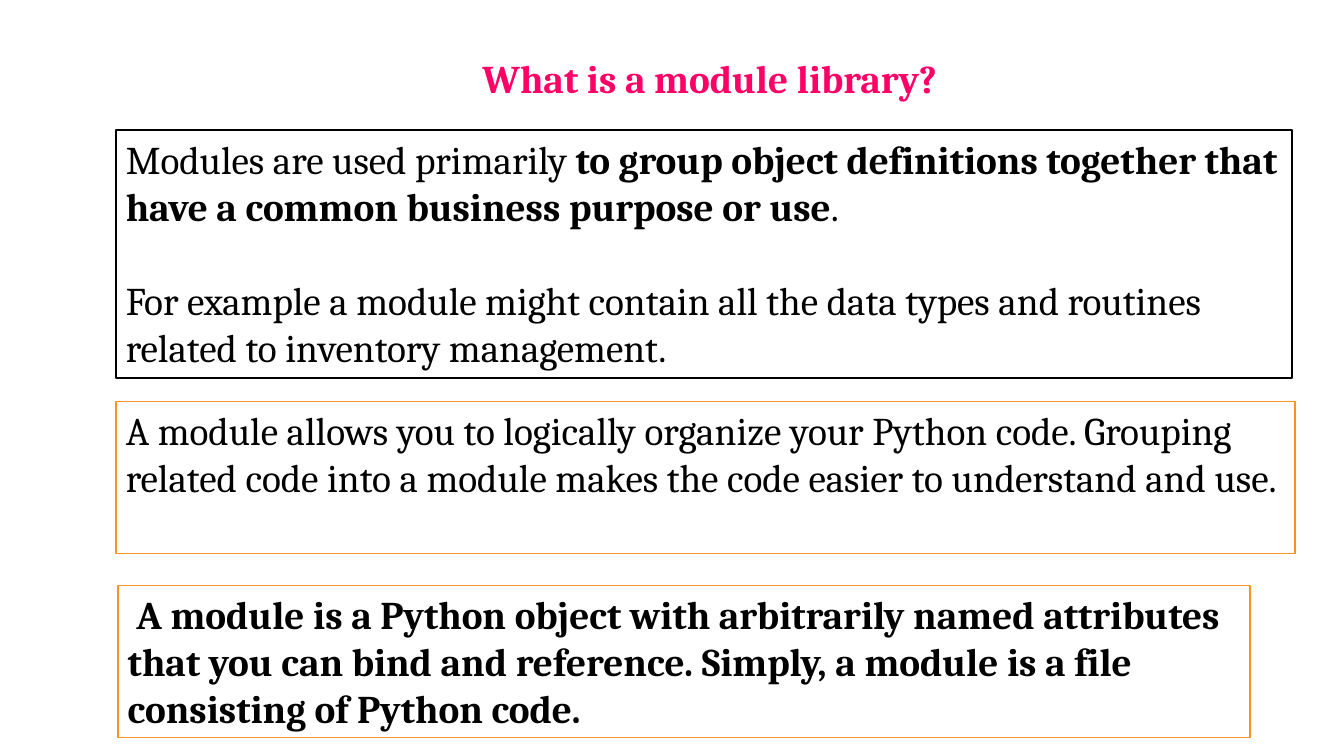
from dataclasses import dataclass

from pptx import Presentation
from pptx.dml.color import RGBColor
from pptx.enum.shapes import MSO_SHAPE
from pptx.enum.text import MSO_ANCHOR, PP_ALIGN
from pptx.util import Pt


@dataclass(frozen=True)
class Theme:
    font: str = "Cambria"
    size: float = 28
    title: str = "FF0066"
    text: str = "000000"
    paper: str = "FFFFFF"
    black: str = "000000"
    orange: str = "F99325"
    border: float = 1
    paragraph_gap: float = 33.6


THEME = Theme()
TITLE = ("What is a module library?", (284.4, 35.3, 445, 41))
BOXES = [
    ((82.8, 92.9, 840.2, 177.1), THEME.black, [
        [("Modules are used primarily ", False),
         ("to group object definitions together that have a common business purpose or use", True),
         (".", False)],
        [("For example a module might contain all the data types and routines "
          "related to inventory management.", False)],
    ]),
    ((82.8, 286.6, 842.4, 108.7), THEME.orange, [
        [("A module allows you to logically organize your Python code. Grouping related code "
          "into a module makes the code easier to understand and use.", False)],
    ]),
    ((84.2, 418.3, 808.6, 108.7), THEME.orange, [
        [(" A module is a Python object with arbitrarily named attributes that you can bind "
          "and reference. Simply, a module is a file consisting of Python code.", True)],
    ]),
]


def place(shape, bounds):
    shape.left, shape.top, shape.width, shape.height = map(Pt, bounds)


def write(frame, paragraphs, color, align, anchor):
    frame.word_wrap = True
    frame.vertical_anchor = anchor
    for index, spans in enumerate(paragraphs):
        para = frame.add_paragraph() if index else frame.paragraphs[0]
        para.alignment = align
        para.space_before = Pt(THEME.paragraph_gap if index else 0)
        for text, bold in spans:
            span = para.add_run()
            span.text = text
            span.font.name = THEME.font
            span.font.size = Pt(THEME.size)
            span.font.bold = bold
            span.font.color.rgb = RGBColor.from_string(color)


def add_box(page, bounds, border, paragraphs):
    box = page.shapes.add_shape(MSO_SHAPE.RECTANGLE, *map(Pt, bounds))
    box.shadow.inherit = False
    box.fill.solid()
    box.fill.fore_color.rgb = RGBColor.from_string(THEME.paper)
    box.line.color.rgb = RGBColor.from_string(border)
    box.line.width = Pt(THEME.border)
    write(box.text_frame, paragraphs, THEME.text, PP_ALIGN.LEFT, MSO_ANCHOR.TOP)


def main():
    """Build the module library slide."""
    deck = Presentation()
    deck.slide_width, deck.slide_height = Pt(960), Pt(540)
    page = deck.slides.add_slide(deck.slide_layouts.get_by_name("Title Only"))
    heading, bounds = TITLE
    title = page.shapes.title
    place(title, bounds)
    write(title.text_frame, [[(heading, True)]], THEME.title, PP_ALIGN.CENTER, MSO_ANCHOR.MIDDLE)
    for bounds, border, paragraphs in BOXES:
        add_box(page, bounds, border, paragraphs)
    deck.save("out.pptx")


if __name__ == "__main__":
    main()
